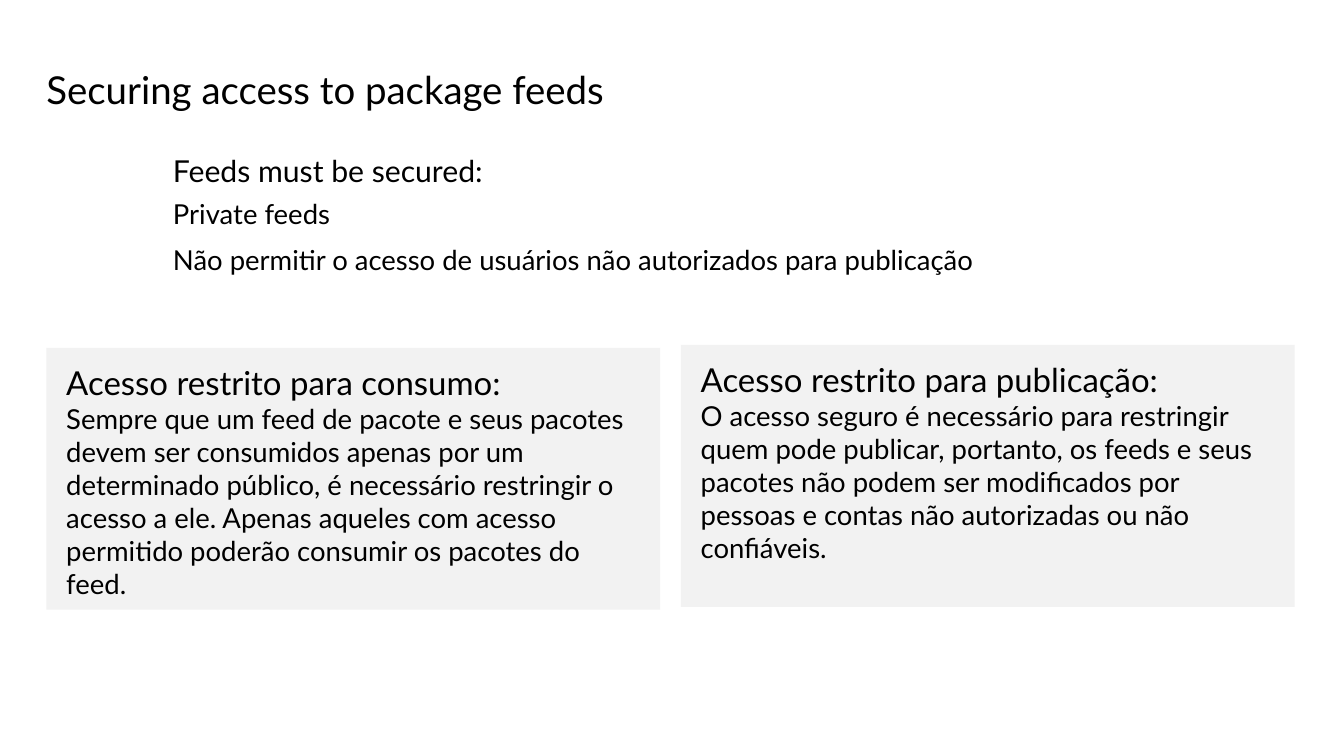
from pptx import Presentation
from pptx.dml.color import RGBColor
from pptx.enum.shapes import MSO_SHAPE
from pptx.enum.text import MSO_ANCHOR, PP_ALIGN
from pptx.util import Pt

PX = 9144  # EMU per px, 100 px to the inch
COLORS = {"text": "000000", "card": "F2F2F2", "background": "FFFFFF"}


def fill_text(shape, paragraphs, margin_x=0, margin_y=0):
    """Write (text, size, space before, space after) rows into the shape."""
    frame = shape.text_frame
    frame.word_wrap = True
    frame.vertical_anchor = MSO_ANCHOR.TOP
    frame.margin_left = frame.margin_right = margin_x * PX
    frame.margin_top = frame.margin_bottom = margin_y * PX
    for index, (text, size, before, after) in enumerate(paragraphs):
        paragraph = frame.add_paragraph() if index else frame.paragraphs[0]
        paragraph.text = text
        paragraph.alignment = PP_ALIGN.LEFT
        paragraph.space_before = Pt(before)
        paragraph.space_after = Pt(after)
        paragraph.font.name = "Lato"
        paragraph.font.size = Pt(size)
        paragraph.font.color.rgb = RGBColor.from_string(COLORS["text"])


def add_panel(left, top, width, height, color):
    panel = slide.shapes.add_shape(
        MSO_SHAPE.RECTANGLE, left * PX, top * PX, width * PX, height * PX)
    panel.shadow.inherit = False
    panel.fill.solid()
    panel.fill.fore_color.rgb = RGBColor.from_string(COLORS[color])
    panel.line.fill.background()
    return panel


presentation = Presentation()
presentation.slide_width = 1360 * PX
presentation.slide_height = 765 * PX
slide = presentation.slides.add_slide(presentation.slide_layouts[6])

title = slide.shapes.add_textbox(47 * PX, 69 * PX, 1265 * PX, 45 * PX)
fill_text(title, [("Securing access to package feeds", 28, 0, 0)])
title.text_frame.paragraphs[0].line_spacing = Pt(32)

cards = [
    (47, 352, "Acesso restrito para consumo:",
     "Sempre que um feed de pacote e seus pacotes devem ser consumidos apenas "
     "por um determinado público, é necessário restringir o acesso a ele. "
     "Apenas aqueles com acesso permitido poderão consumir os pacotes do feed."),
    (689, 349, "Acesso restrito para publicação:",
     "O acesso seguro é necessário para restringir quem pode publicar, "
     "portanto, os feeds e seus pacotes não podem ser modificados por pessoas "
     "e contas não autorizadas ou não confiáveis."),
]
for left, top, heading, body in cards:
    card = add_panel(left, top, 621, 265, "card")
    fill_text(card, [(heading, 24, 0, 0), (body, 20, 0, 0)], 20, 15)

requirements = add_panel(175, 154, 1135, 127, "background")
fill_text(requirements, [
    ("Feeds must be secured:", 22, 0, 0),
    ("Private feeds", 20, 6, 6),
    ("Não permitir o acesso de usuários não autorizados para publicação", 20, 4, 6),
])

presentation.save("out.pptx")
